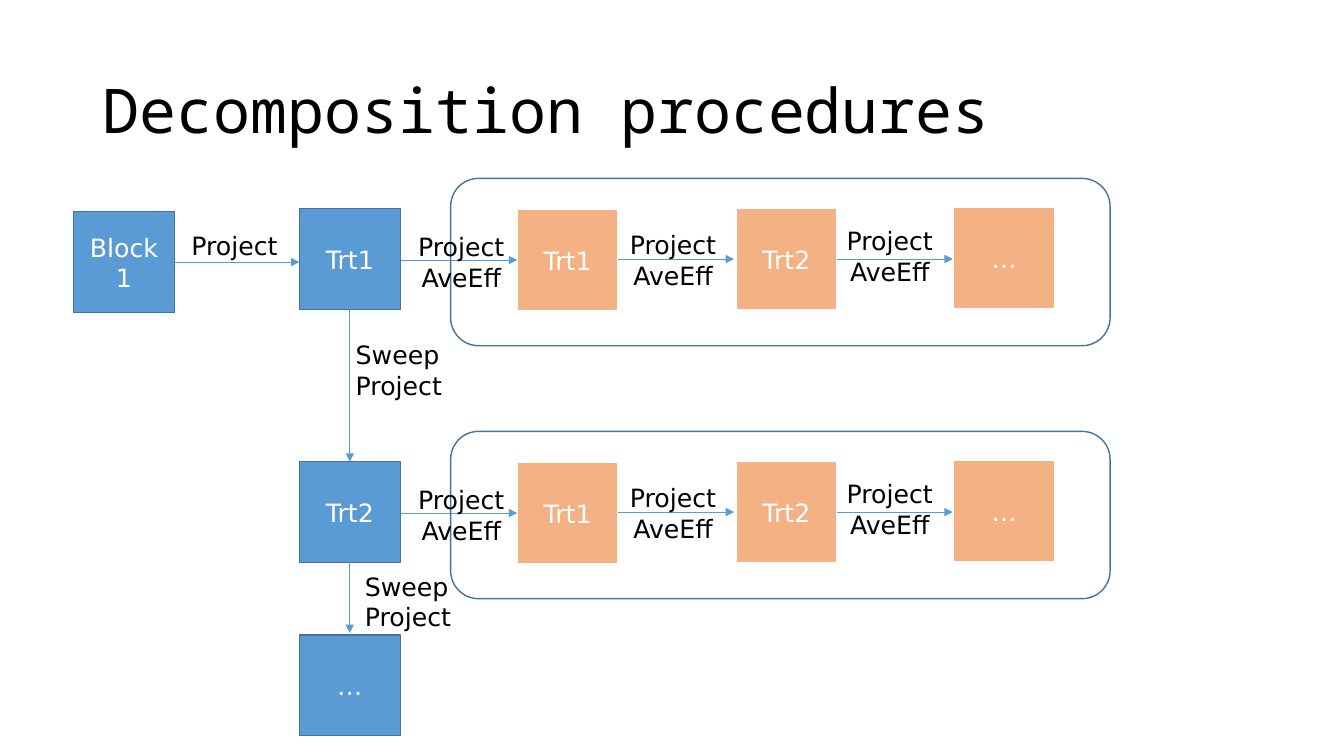
from dataclasses import dataclass

from lxml import etree
from pptx import Presentation
from pptx import util as u
from pptx.dml.color import RGBColor
from pptx.enum import shapes, text
from pptx.oxml import ns

EMU_PER_PX = 9144  # 100 px to the inch


@dataclass(frozen=True)
class Theme:
    blue: str = "5B9BD5"
    edge: str = "43739E"
    orange: str = "F4B183"
    white: str = "FFFFFF"
    black: str = "000000"
    title_font: str = "Noto Sans Mono"
    body_font: str = "DejaVu Sans"
    title_size: int = 44
    body_size: int = 18
    outline: float = 1
    arrow: float = 0.5


def px(*lengths):
    return [u.Emu(length * EMU_PER_PX) for length in lengths]


def rgb(colour):
    return RGBColor.from_string(colour)


class Diagram:
    def __init__(self, page, theme):
        self.page = page
        self.theme = theme

    def set_text(self, shape, wording, font, size, colour, align):
        frame = shape.text_frame
        frame.word_wrap = True
        frame.text = wording
        for para in frame.paragraphs:
            para.alignment = align
            for span in para.runs:
                span.font.name = font
                span.font.size = u.Pt(size)
                span.font.color.rgb = rgb(colour)
        return frame

    def title(self, wording, left, top, width, height):
        theme = self.theme
        box = self.page.shapes.add_textbox(*px(left, top, width, height))
        frame = self.set_text(box, wording, theme.title_font, theme.title_size,
                              theme.black, text.PP_ALIGN.LEFT)
        frame.vertical_anchor = text.MSO_ANCHOR.MIDDLE
        frame.paragraphs[0].line_spacing = 0.9

    def label(self, wording, left, top, height=71, align=text.PP_ALIGN.CENTER):
        theme = self.theme
        box = self.page.shapes.add_textbox(*px(left, top, 115, height))
        frame = self.set_text(box, wording, theme.body_font, theme.body_size,
                              theme.black, align)
        frame.auto_size = text.MSO_AUTO_SIZE.SHAPE_TO_FIT_TEXT

    def outlined(self, kind, edge, left, top, width, height):
        shape = self.page.shapes.add_shape(kind, *px(left, top, width, height))
        shape.shadow.inherit = False
        shape.line.color.rgb = rgb(edge)
        shape.line.width = u.Pt(self.theme.outline)
        return shape

    def square(self, wording, left, top, fill, edge):
        theme = self.theme
        box = self.outlined(shapes.MSO_SHAPE.RECTANGLE, edge, left, top, 100, 100)
        box.fill.solid()
        box.fill.fore_color.rgb = rgb(fill)
        frame = self.set_text(box, wording, theme.body_font, theme.body_size,
                              theme.white, text.PP_ALIGN.CENTER)
        frame.vertical_anchor = text.MSO_ANCHOR.MIDDLE

    def source(self, wording, left, top):
        self.square(wording, left, top, self.theme.blue, self.theme.edge)

    def effect(self, wording, left, top):
        self.square(wording, left, top, self.theme.orange, self.theme.white)

    def group(self, left, top, width, height):
        self.outlined(shapes.MSO_SHAPE.ROUNDED_RECTANGLE, self.theme.edge,
                      left, top, width, height).fill.background()

    def arrow(self, x1, y1, x2, y2):
        connector = self.page.shapes.add_connector(
            shapes.MSO_CONNECTOR.STRAIGHT, *px(x1, y1, x2, y2))
        connector.line.color.rgb = rgb(self.theme.blue)
        connector.line.width = u.Pt(self.theme.arrow)
        properties = connector.element.spPr
        outline = properties.find(ns.qn("a:ln"))
        etree.SubElement(outline, ns.qn("a:tailEnd"), type="triangle")
        etree.SubElement(properties, ns.qn("a:effectLst"))


def effect_row(diagram, drop):
    """Draw one treatment's chain of averaged effects, drop px below the first row."""
    for wording, left, top in (("Trt1", 513, 208), ("Trt2", 730, 207), ("…", 946, 206)):
        diagram.effect(wording, left, top + drop)
    for start, end, level in ((397, 513, 258), (613, 728, 257), (830, 945, 257)):
        diagram.arrow(start, level + drop, end, level + drop)
    diagram.group(447, 177 + drop, 654, 166)
    for left, top in ((400, 225), (610, 223), (825, 219)):
        diagram.label("Project\nAveEff", left, top + drop)


def main():
    deck = Presentation()
    deck.slide_width, deck.slide_height = u.Inches(13.33), u.Inches(7.5)
    page = deck.slides.add_slide(deck.slide_layouts[6])
    diagram = Diagram(page, Theme())

    diagram.title("Decomposition procedures", 92, 40, 1150, 145)
    for drop in (0, 251):
        effect_row(diagram, drop)

    for wording, left, top in (("Block1", 73, 210), ("Trt1", 297, 207),
                               ("Trt2", 297, 458), ("…", 297, 630)):
        diagram.source(wording, left, top)
    diagram.arrow(173, 260, 297, 260)
    diagram.label("Project", 180, 224, 40, text.PP_ALIGN.LEFT)

    for start, end, left, top in ((307, 458, 343, 332), (557, 628, 352, 562)):
        diagram.arrow(347, start, 347, end)
        diagram.label("Sweep\nProject", left, top, align=text.PP_ALIGN.LEFT)

    deck.save("out.pptx")


if __name__ == "__main__":
    main()
